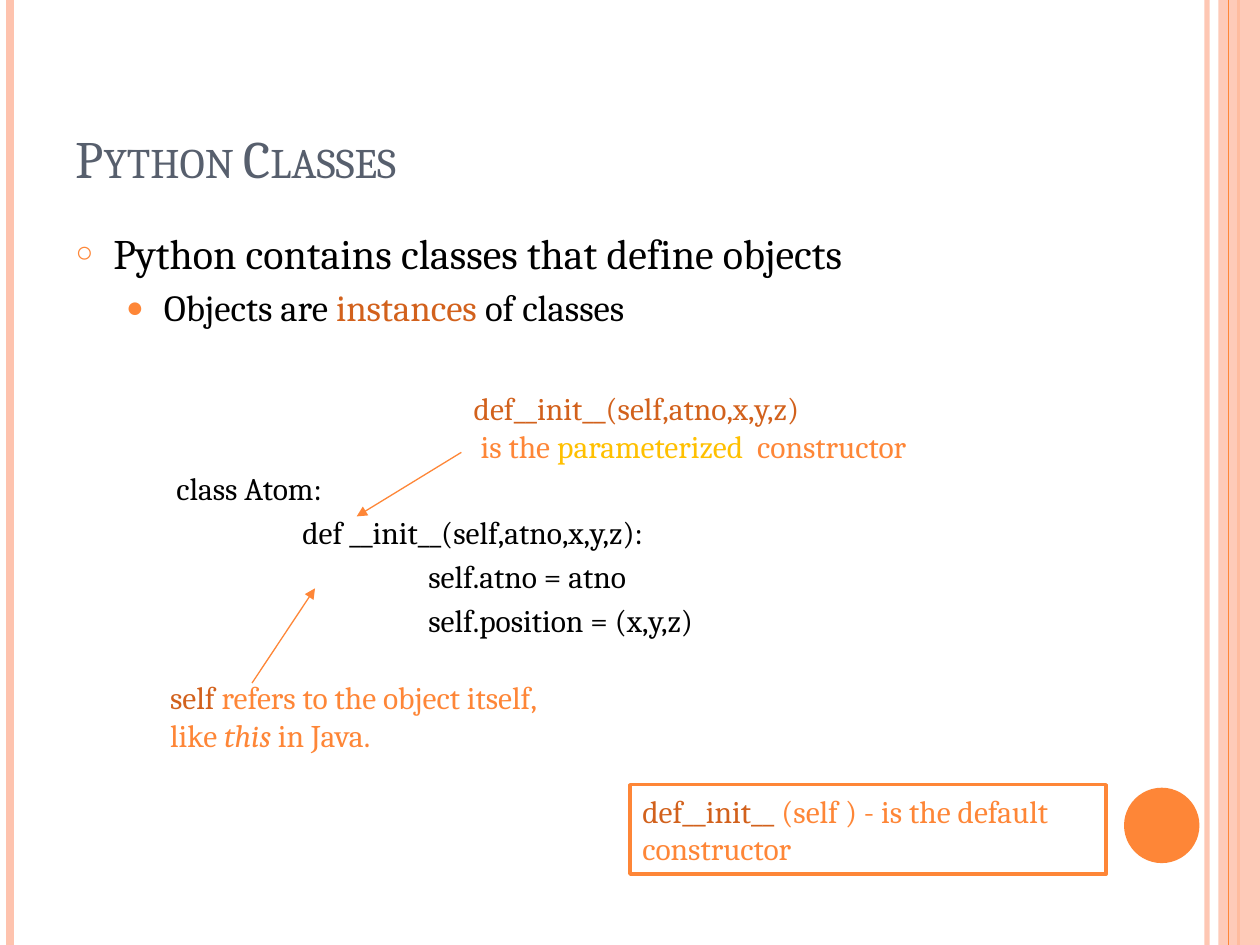
from lxml.etree import SubElement
from pptx import Presentation
from pptx.dml.color import RGBColor
from pptx.enum.shapes import MSO_CONNECTOR as Connector, MSO_SHAPE as Shape
from pptx.enum.text import MSO_ANCHOR as Anchor, MSO_AUTO_SIZE as AutoSize, PP_ALIGN as Align
from pptx.oxml.ns import qn
from pptx.util import Cm, Pt

ORANGE = RGBColor(0xFE, 0x86, 0x37)
RUST = RGBColor(0xD2, 0x61, 0x1C)
GOLD = RGBColor(0xFF, 0xC0, 0x00)
PEACH = RGBColor(0xFE, 0xC3, 0xAE)
SLATE = RGBColor(0x57, 0x5F, 0x6D)
BLACK = RGBColor(0, 0, 0)
WHITE = RGBColor(0xFF, 0xFF, 0xFF)
FONT = "Cambria"
WIDTH, HEIGHT = 25.4, 19.05


def add_run(paragraph, text, size, color, italic=False):
    """Add one formatted run and return it."""
    run = paragraph.add_run()
    run.text = text
    run.font.name, run.font.size, run.font.italic = FONT, Pt(size), italic
    run.font.color.rgb = color
    return run


def set_alpha(properties, percent):
    """Make the solid colour under the given element partly transparent."""
    color = next(properties.iter(qn("a:srgbClr")))
    SubElement(color, qn("a:alpha"), val=str(percent * 1000))


def add_line(slide, start, end, color, width, alpha=100, arrow=False):
    """Draw a straight line, optionally with an arrowhead at its end."""
    line = slide.shapes.add_connector(Connector.STRAIGHT, *map(Cm, start + end))
    line.line.color.rgb, line.line.width = color, Pt(width)
    properties = line.element.spPr
    stroke = properties.find(qn("a:ln"))
    if alpha < 100:
        set_alpha(stroke, alpha)
    if arrow:
        SubElement(stroke, qn("a:tailEnd"), type="triangle")
    SubElement(properties, qn("a:effectLst"))


def add_block(slide, kind, box, fill):
    """Add a plain filled shape without outline or shadow."""
    block = slide.shapes.add_shape(kind, *map(Cm, box))
    block.shadow.inherit = False
    block.fill.solid()
    block.fill.fore_color.rgb = fill
    block.line.fill.background()
    return block


def add_frame(slide):
    """Draw the striped side borders and the page disc."""
    def stripe(x, color, width, alpha=100):
        add_line(slide, (x, 0), (x, HEIGHT), color, width, alpha)

    stripe(24.33, PEACH, 3, 93)
    stripe(0.2, PEACH, 4.5)
    stripe(24.97, ORANGE, 1.5)
    band = add_block(slide, Shape.RECTANGLE, (24.56, 0, WIDTH - 24.56, HEIGHT), PEACH)
    set_alpha(band.element.spPr, 87)
    stripe(24.77, ORANGE, 0.75)
    add_block(slide, Shape.OVAL, (22.66, 15.88, 1.52, 1.52), ORANGE)


def place(holder, box):
    """Move a placeholder to its box and return its text frame."""
    holder.left, holder.top, holder.width, holder.height = map(Cm, box)
    frame = holder.text_frame
    frame.auto_size = AutoSize.NONE
    return frame


def add_title(slide, box):
    """Fill the title placeholder in small capitals."""
    frame = place(slide.shapes.title, box)
    frame.vertical_anchor = Anchor.BOTTOM
    heading = frame.paragraphs[0]
    heading.alignment = Align.LEFT
    run = add_run(heading, "Python Classes", 30, SLATE)
    run.font._element.set("cap", "small")


def add_body(slide, box):
    """Fill the body placeholder with the bullets and the code sample."""
    code = [
        (2.03, "class Atom:", 80),
        (4.57, "def __init__(self,atno,x,y,z):", 3.6),
        (7.11, "self.atno = atno", 3.6),
        (7.11, "self.position = (x,y,z)", 3.6),
    ]
    lines = [
        (0, 0.76, 6, ("○", 70), 24, [("Python contains classes that define objects", BLACK)]),
        (1, 1.78, 4.2, ("●", 80), 21,
         [("Objects are ", BLACK), ("instances", RUST), (" of classes", BLACK)]),
    ] + [(2, indent, gap, None, 18, [(text, BLACK)]) for indent, text, gap in code]
    frame = place(slide.placeholders[1], box)
    for index, (level, indent, gap, bullet, size, parts) in enumerate(lines):
        item = frame.add_paragraph() if index else frame.paragraphs[0]
        item.level, item.space_before = level, Pt(gap)
        properties = item._p.get_or_add_pPr()
        properties.set("marL", str(Cm(indent)))
        properties.set("indent", str(Cm(-0.76) if bullet else 0))
        if bullet:
            mark, percent = bullet
            color = SubElement(properties, qn("a:buClr"))
            SubElement(color, qn("a:srgbClr"), val=str(ORANGE))
            SubElement(properties, qn("a:buSzPct"), val=str(percent * 1000))
            SubElement(properties, qn("a:buChar"), char=mark)
        else:
            SubElement(properties, qn("a:buNone"))
        for text, color in parts:
            add_run(item, text, size, color)


def write_note(frame, lines):
    """Write left-aligned note lines run by run."""
    frame.word_wrap = True
    for index, parts in enumerate(lines):
        line = frame.add_paragraph() if index else frame.paragraphs[0]
        line.alignment = Align.LEFT
        for part in parts:
            add_run(line, part[0], 18, *part[1:])


def add_callout(slide, box, lines, arrow_start, arrow_end):
    """Add a note with an arrow, both arrow ends relative to the box."""
    left, top = box[:2]
    write_note(slide.shapes.add_textbox(*map(Cm, box)).text_frame, lines)
    start, end = [(left + x, top + y) for x, y in (arrow_start, arrow_end)]
    add_line(slide, start, end, ORANGE, 0.75, arrow=True)


def add_boxed_note(slide, box):
    """Add the outlined note on the default constructor."""
    note = add_block(slide, Shape.RECTANGLE, box, WHITE)
    note.line.color.rgb, note.line.width = ORANGE, Pt(2)
    write_note(note.text_frame, [
        [("def__init__ ", RUST), ("(self ) - is the default constructor", ORANGE)],
    ])


def build():
    """Build the slide on Python classes and save it."""
    deck = Presentation()
    deck.slide_width, deck.slide_height = Cm(WIDTH), Cm(HEIGHT)
    slide = deck.slides.add_slide(deck.slide_layouts[1])
    add_frame(slide)
    add_title(slide, (1.27, 0.76, 20.75, 3.18))
    add_body(slide, (1.27, 4.45, 20.75, 13.54))
    add_callout(slide, (9.3, 7.72, 10.54, 1.8), [
        [("def__init__(self,atno,x,y,z)", RUST)],
        [(" is the ", ORANGE), ("parameterized  ", GOLD), ("constructor", ORANGE)],
    ], (0, 1.4), (-2.11, 2.69))
    add_callout(slide, (3.18, 13.54, 10.36, 2.29), [
        [("self", RUST), (" refers to the object itself,", ORANGE)],
        [("like ", ORANGE), ("this", ORANGE, True), (" in Java.", ORANGE)],
    ], (1.9, 0.23), (3.17, -1.68))
    add_boxed_note(slide, (12.7, 15.82, 9.6, 1.8))
    deck.save("out.pptx")


build()
